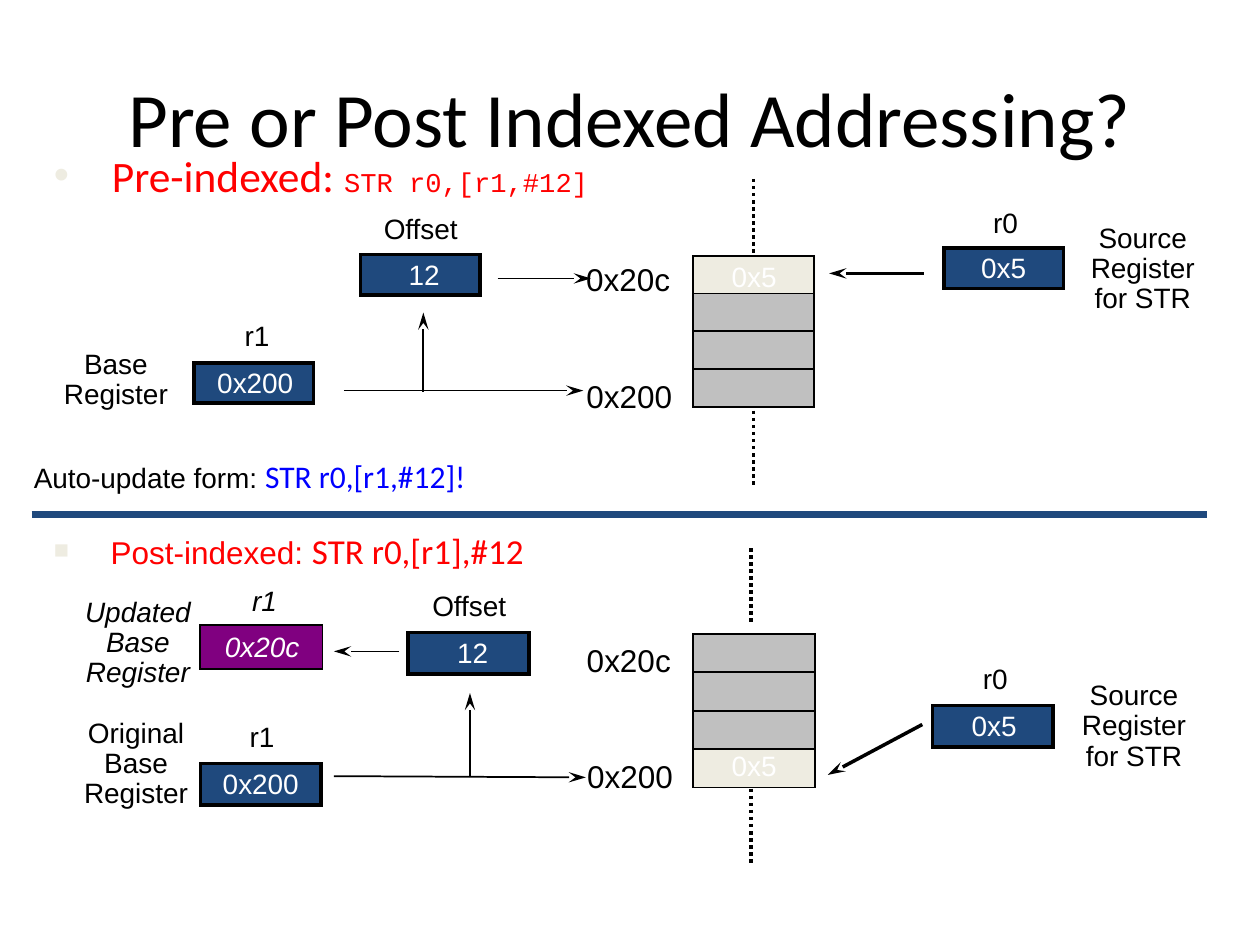
"""Build a slide comparing pre-indexed and post-indexed STR addressing."""
from lxml.etree import SubElement
from pptx import Presentation
from pptx.dml.color import RGBColor
from pptx.enum.dml import MSO_LINE
from pptx.enum.shapes import MSO_CONNECTOR, MSO_SHAPE
from pptx.enum.text import MSO_ANCHOR, PP_ALIGN
from pptx.oxml.ns import qn
from pptx.util import Inches, Pt

COLOURS = {name: RGBColor.from_string(value) for name, value in {
    "black": "000000", "white": "FFFFFF", "navy": "1F497D", "purple": "800080",
    "grey": "C0C0C0", "cream": "EEECE1", "red": "FF0000", "blue": "0000FF",
}.items()}

prs = Presentation()
prs.slide_width, prs.slide_height = Inches(10), Inches(7.5)
slide = prs.slides.add_slide(prs.slide_layouts[6])
shapes = slide.shapes


def write(frame, text, size=16, colour="black", italic=False, font="Arial", spacing=0.9):
    frame.word_wrap = True
    line = frame.paragraphs[0]
    line.text = text
    line.alignment = PP_ALIGN.CENTER
    line.line_spacing = spacing
    line.font.name, line.font.size = font, Pt(size)
    line.font.italic = italic
    line.font.color.rgb = COLOURS[colour]


def box(left, top, width, height, text, fill, border, italic=False, shift=0):
    cell = shapes.add_shape(MSO_SHAPE.RECTANGLE, Inches(left), Inches(top),
                            Inches(width), Inches(height))
    cell.shadow.inherit = False
    if fill:
        cell.fill.solid()
        cell.fill.fore_color.rgb = COLOURS[fill]
    else:
        cell.fill.background()
    if border:
        cell.line.color.rgb = COLOURS["black"]
        cell.line.width = Pt(border)
        SubElement(cell.line._get_or_add_ln(), qn("a:miter"), lim="800000")
    else:
        cell.line.fill.background()
    if text:
        frame = cell.text_frame
        frame.margin_left = Inches(0.1 + shift)
        frame.margin_top, frame.margin_bottom = Inches(0.02), 0
        frame.vertical_anchor = MSO_ANCHOR.MIDDLE
        write(frame, text, colour="white", italic=italic)


# left, top, cell width, cell height, index and top of the stored word
for left, top, width, height, stored, stored_top in [
    (5.5, 2.03, 0.96, 0.3, 0, 2.03),
    (5.5, 5.03, 0.97, 0.305, 3, 5.91),
]:
    box(left, stored_top, 0.97, 0.34, "0x5", "cream", 0)
    for row in range(4):
        box(left, top + row * height, width, height, "",
            None if row == stored else "grey", 1)

for left, top, width, height, value, fill, border, italic, shift in [
    (1.54, 2.88, 0.95, 0.32, "0x200", "navy", 2, False, 0.02),
    (7.49, 1.97, 0.95, 0.32, "0x5", "navy", 2, False, 0),
    (2.86, 2.02, 0.95, 0.32, "12", "navy", 2, False, 0.06),
    (1.59, 6.06, 0.96, 0.33, "0x200", "navy", 2, False, 0),
    (7.4, 5.6, 0.96, 0.33, "0x5", "navy", 2, False, 0.02),
    (3.24, 5.02, 0.96, 0.33, "12", "navy", 2, False, 0.06),
    (1.59, 4.96, 0.97, 0.35, "0x20c", "purple", 1, True, 0.01),
]:
    box(left, top, width, height, value, fill, border, italic, shift)

for left, top, width, height, label, size, italic in [
    (1.46, 2.51, 1.16, 0.34, "r1", 16, False),
    (0.34, 2.73, 1.16, 0.58, "Base\nRegister", 16, False),
    (4.51, 2.98, 0.97, 0.31, "0x200", 18, False),
    (4.5, 2.05, 0.97, 0.31, "0x20c", 18, False),
    (7.4, 1.61, 1.16, 0.34, "r0", 16, False),
    (8.49, 1.73, 1.16, 0.82, "Source\nRegister\nfor STR", 16, False),
    (2.76, 1.66, 1.16, 0.34, "Offset", 16, False),
    (1.5, 5.69, 1.16, 0.34, "r1", 16, False),
    (0.5, 5.66, 1.16, 0.82, "Original\nBase\nRegister", 16, False),
    (4.51, 5.99, 0.98, 0.31, "0x200", 18, False),
    (4.5, 5.07, 0.98, 0.31, "0x20c", 18, False),
    (7.32, 5.23, 1.16, 0.34, "r0", 16, False),
    (8.42, 5.36, 1.16, 0.82, "Source\nRegister\nfor STR", 16, False),
    (3.14, 4.65, 1.17, 0.34, "Offset", 16, False),
    (1.51, 4.61, 1.18, 0.34, "r1", 16, True),
    (0.38, 4.7, 1.43, 0.82, "Updated\nBase\nRegister", 16, True),
]:
    caption = shapes.add_textbox(Inches(left), Inches(top), Inches(width), Inches(height))
    write(caption.text_frame, label, size, italic=italic)

for x1, y1, x2, y2, weight, colour, style in [
    (2.73, 3.1, 4.63, 3.1, 1, "black", "arrow"),
    (3.36, 3.11, 3.36, 2.48, 1, "black", "arrow"),
    (3.95, 2.21, 4.69, 2.21, 1, "black", "arrow"),
    (7.33, 2.17, 6.58, 2.17, 2, "black", "arrow"),
    (2.65, 6.16, 4.65, 6.17, 1, "black", "arrow"),
    (3.73, 6.17, 3.73, 5.5, 1, "black", "arrow"),
    (3.17, 5.17, 2.65, 5.17, 1, "black", "arrow"),
    (7.32, 5.75, 6.57, 6.15, 2, "black", "arrow"),
    (5.98, 1.42, 5.98, 2.01, 2, "black", "dots"),
    (5.98, 3.26, 5.98, 3.85, 2, "black", "dots"),
    (5.96, 4.35, 5.96, 4.94, 2, "black", "dots"),
    (5.96, 6.26, 5.96, 6.85, 2, "black", "dots"),
    (0.25, 4.08, 9.58, 4.08, 4, "navy", "plain"),
]:
    link = shapes.add_connector(MSO_CONNECTOR.STRAIGHT, Inches(x1), Inches(y1),
                                Inches(x2), Inches(y2))
    link.line.color.rgb = COLOURS[colour]
    link.line.width = Pt(weight)
    if style == "dots":
        link.line.dash_style = MSO_LINE.ROUND_DOT
    if style == "arrow":
        SubElement(link.line._get_or_add_ln(), qn("a:tailEnd"),
                   type="stealth", w="med", len="lg")
    SubElement(link._element.spPr, qn("a:effectLst"))

title = shapes.add_textbox(Inches(0.5), Inches(0.3), Inches(9), Inches(1.25))
title.text_frame.vertical_anchor = MSO_ANCHOR.MIDDLE
write(title.text_frame, "Pre or Post Indexed Addressing?", 44, font="Calibri", spacing=1.0)

# left, top, width, height, line spacing, (bullet, percent size, hanging indent), runs
for left, top, width, height, spacing, bullet, runs in [
    (0.33, 1.25, 5, 0.43, 0.7, ("•", 100, 0.46),
     [("Pre-indexed: ", 24.8, "Calibri", "red"),
      ("STR r0,[r1,#12]", 15.5, "Courier New", "red")]),
    (0.17, 3.61, 4.6, 0.39, 0.9, None,
     [("Auto-update form: ", 16, "Arial", "black"),
      ("STR r0,[r1,#12]!", 18, "Calibri", "blue")]),
    (0.33, 4.15, 5, 0.43, 1.0, ("■", 80, 0.45),
     [("Post-indexed: ", 18, "Arial", "red"),
      ("STR r0,[r1],#12", 20, "Calibri", "red")]),
]:
    heading = shapes.add_textbox(Inches(left), Inches(top), Inches(width), Inches(height))
    heading.text_frame.word_wrap = bullet is not None
    line = heading.text_frame.paragraphs[0]
    line.line_spacing = spacing
    if bullet:
        mark, percent, indent = bullet
        props = line._p.get_or_add_pPr()
        props.set("marL", str(Inches(indent)))
        props.set("indent", str(-Inches(indent)))
        SubElement(SubElement(props, qn("a:buClr")), qn("a:srgbClr"),
                   val=str(COLOURS["cream"]))
        SubElement(props, qn("a:buSzPct"), val=str(percent * 1000))
        SubElement(props, qn("a:buFont"), typeface="Arial")
        SubElement(props, qn("a:buChar"), char=mark)
    for text, size, font, colour in runs:
        run = line.add_run()
        run.text = text
        run.font.name, run.font.size = font, Pt(size)
        run.font.color.rgb = COLOURS[colour]

prs.save("out.pptx")
